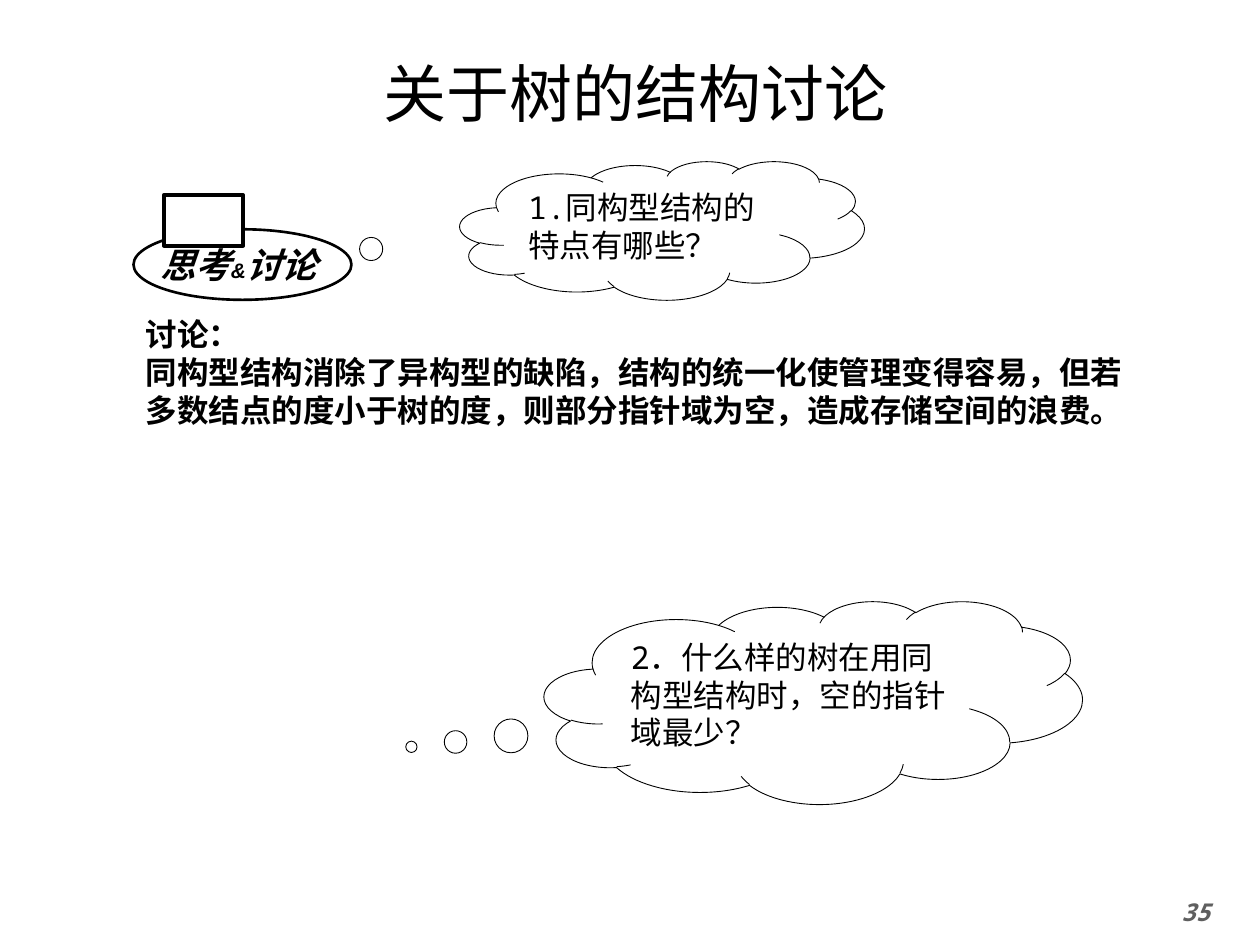
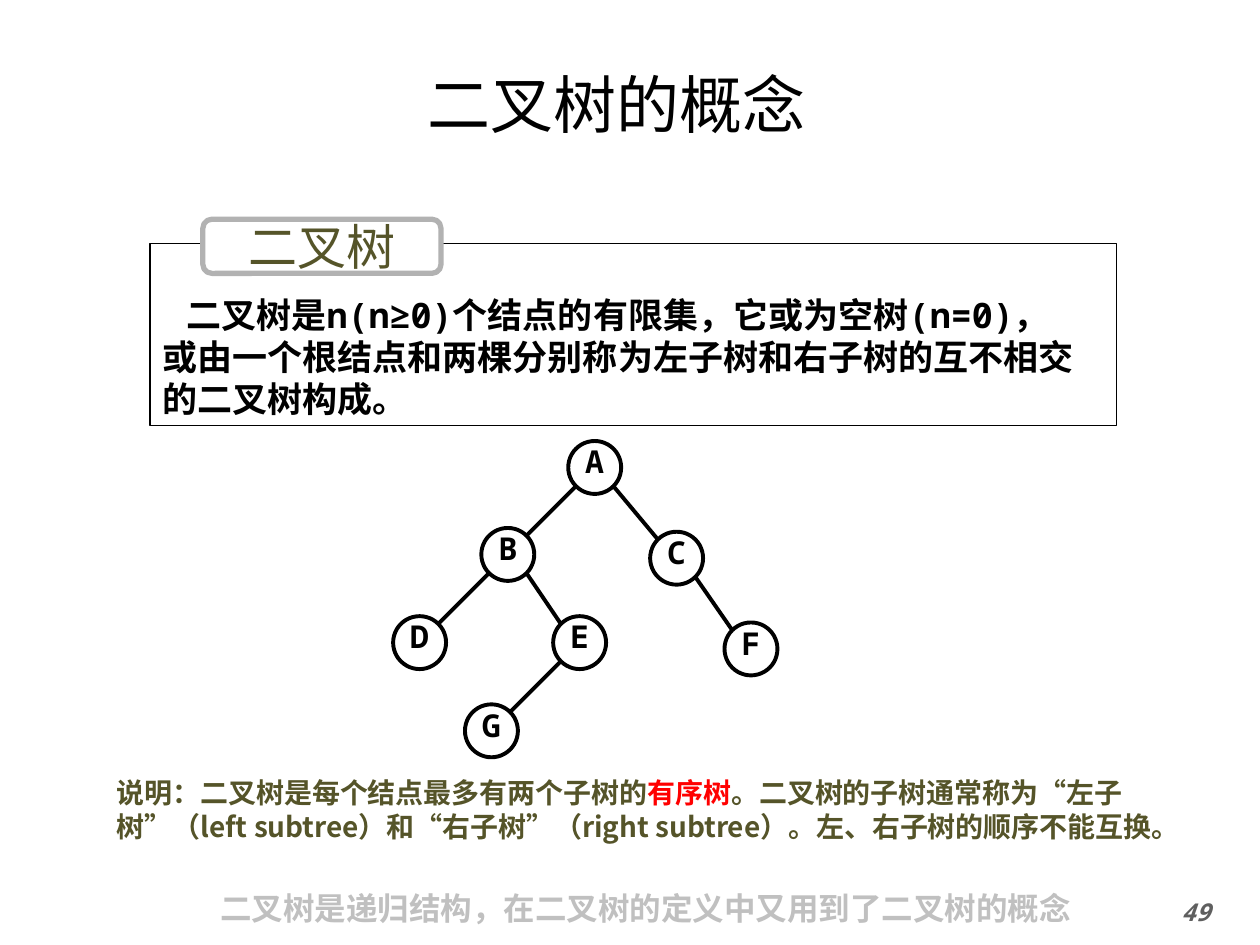
"""Build two slides on tree structures and the concept of a binary tree."""
from dataclasses import dataclass, replace
from math import sqrt
from typing import NamedTuple, Optional

from pptx import Presentation
from pptx.dml.color import RGBColor
from pptx.enum.shapes import MSO_CONNECTOR as Connector, MSO_SHAPE as Shape
from pptx.enum.text import MSO_ANCHOR as Anchor, PP_ALIGN as Align
from pptx.oxml.ns import qn
from pptx.util import Inches, Pt

BLACK = RGBColor(0x00, 0x00, 0x00)
WHITE = RGBColor(0xFF, 0xFF, 0xFF)
RED = RGBColor(0xFF, 0x00, 0x00)
OLIVE = RGBColor(0x55, 0x54, 0x29)
DARK_GRAY = RGBColor(0x5F, 0x5F, 0x5F)
MID_GRAY = RGBColor(0xB2, 0xB2, 0xB2)
LIGHT_GRAY = RGBColor(0xC0, 0xC0, 0xC0)

MONO = "Noto Sans Mono"
CJK = "Noto Sans CJK SC"
NODE_SIZE = 0.42
NODE_LINE = 2.25


@dataclass(frozen=True)
class Style:
    """Character formatting of a run."""
    size: float
    font: str = MONO
    color: RGBColor = BLACK
    bold: bool = False
    italic: bool = False


class Box(NamedTuple):
    """Left, top, width and height in inches."""
    left: float
    top: float
    width: float
    height: float


class Cloud(NamedTuple):
    """A thought cloud with its question and tail offset."""
    box: Box
    tail: tuple[float, float]
    question: str


class Node(NamedTuple):
    """A tree node with its centre and the name of its parent."""
    x: float
    y: float
    parent: Optional[str] = None


TITLE = Style(36)
BODY = Style(18)
BADGE = Style(20, "Arial", bold=True, italic=True)
PAGE = Style(14, color=DARK_GRAY, bold=True, italic=True)
NODE = Style(18, bold=True)
DISCUSSION = Style(18, "DejaVu Sans Mono", bold=True)
DEFINITION = Style(20, bold=True)
LABEL = Style(28, color=OLIVE)
REMARK = Style(16, CJK, OLIVE, bold=True)
SUMMARY = Style(18, color=LIGHT_GRAY, bold=True)

CLOUDS = (
    Cloud(Box(3.65, 1.28, 3.21, 1.1), (-1.194, 0.221),
          "1.同构型结构的特点有哪些？"),
    Cloud(Box(4.32, 4.77, 4.27, 1.61), (-0.747, 0.219),
          "2．什么样的树在用同构型结构时，空的指针域最少？"),
)

NODES = {
    "A": Node(4.72, 3.71),
    "B": Node(4.03, 4.4, "A"),
    "C": Node(5.37, 4.43, "A"),
    "D": Node(3.33, 5.1, "B"),
    "E": Node(4.6, 5.1, "B"),
    "F": Node(5.96, 5.15, "C"),
    "G": Node(3.9, 5.8, "E"),
}


def inches(box: Box) -> list[Inches]:
    """Convert a box to lengths."""
    return [Inches(v) for v in box]


def write(s, paragraphs, align=Align.LEFT, anchor=Anchor.TOP, wrap=True):
    """Fill a shape with paragraphs, each a list of (text, style) pairs."""
    tf = s.text_frame
    tf.word_wrap = wrap
    tf.vertical_anchor = anchor
    for i, runs in enumerate(paragraphs):
        p = tf.paragraphs[0] if i == 0 else tf.add_paragraph()
        p.alignment = align
        for text, style in runs:
            r = p.add_run()
            r.text = text
            r.font.size = Pt(style.size)
            r.font.name = style.font
            r.font.color.rgb = style.color
            r.font.bold = style.bold
            r.font.italic = style.italic
            east_asian = r.font._element.makeelement(qn("a:ea"), {"typeface": CJK})
            r.font._element.find(qn("a:latin")).addnext(east_asian)
    return tf


def add_text(slide, box: Box, paragraphs, **layout):
    """Add a text box."""
    return write(slide.shapes.add_textbox(*inches(box)), paragraphs, **layout)


def add_outline(slide, kind, box: Box, width: float, color=BLACK, fill=WHITE):
    """Add a preset shape with an outline and an optional fill."""
    s = slide.shapes.add_shape(kind, *inches(box))
    s.shadow.inherit = False
    if fill is None:
        s.fill.background()
    else:
        s.fill.solid()
        s.fill.fore_color.rgb = fill
    s.line.color.rgb = color
    s.line.width = Pt(width)
    return s


def add_slide(prs, title: str, box: Box, number: str):
    """Add a blank slide with its title and page number."""
    slide = prs.slides.add_slide(prs.slide_layouts[6])
    tf = add_text(slide, box, [[(title, TITLE)]],
                  align=Align.CENTER, anchor=Anchor.MIDDLE)
    tf.margin_left = tf.margin_right = tf.margin_top = tf.margin_bottom = 0
    add_text(slide, Box(8.98, 7.07, 1.02, 0.43), [[(number, PAGE)]],
             align=Align.CENTER)
    return slide


def add_cloud(slide, cloud: Cloud) -> None:
    """Add a thought cloud."""
    s = add_outline(slide, Shape.CLOUD_CALLOUT, cloud.box, 0.5)
    for i, offset in enumerate(cloud.tail):
        s.adjustments[i] = offset
    write(s, [[(cloud.question, BODY)]])


def add_edge(slide, parent: Node, child: Node) -> None:
    """Join the lower diagonal of a parent to the upper diagonal of a child."""
    reach = NODE_SIZE / 2 / sqrt(2)
    side = reach if child.x > parent.x else -reach
    c = slide.shapes.add_connector(
        Connector.STRAIGHT,
        Inches(parent.x + side), Inches(parent.y + reach),
        Inches(child.x - side), Inches(child.y - reach))
    c.line.color.rgb = BLACK
    c.line.width = Pt(NODE_LINE)
    properties = c._element.spPr
    properties.append(properties.makeelement(qn("a:effectLst"), {}))


def add_tree(slide, nodes: dict[str, Node]) -> None:
    """Draw the nodes and the edges to their parents."""
    half = NODE_SIZE / 2
    for name, node in nodes.items():
        box = Box(node.x - half, node.y - half, NODE_SIZE, NODE_SIZE)
        s = add_outline(slide, Shape.OVAL, box, NODE_LINE)
        write(s, [[(name, NODE)]], align=Align.CENTER,
              anchor=Anchor.BOTTOM, wrap=False)
    for node in nodes.values():
        if node.parent:
            add_edge(slide, nodes[node.parent], node)


def build_discussion(prs) -> None:
    """Build the slide that discusses tree structures."""
    slide = add_slide(prs, "关于树的结构讨论", Box(0.27, 0.38, 9.54, 0.7), "35")
    for cloud in CLOUDS:
        add_cloud(slide, cloud)
    badge = add_outline(slide, Shape.OVAL, Box(1.06, 1.82, 1.73, 0.56), 1.5)
    write(badge, [[("思考", BADGE), ("&", replace(BADGE, size=12)),
                   ("讨论 ", BADGE)]],
          align=Align.CENTER, anchor=Anchor.MIDDLE, wrap=False)
    add_outline(slide, Shape.RECTANGLE, Box(1.3, 1.55, 0.63, 0.4), 2.25)
    add_text(slide, Box(1.06, 2.45, 8.05, 1.01), [
        [("讨论：", DISCUSSION)],
        [("同构型结构消除了异构型的缺陷，结构的统一化使管理变得容易，"
          "但若多数结点的度小于树的度，则部分指针域为空，"
          "造成存储空间的浪费。", DISCUSSION)],
    ])


def build_binary_tree(prs) -> None:
    """Build the slide that defines the binary tree."""
    slide = add_slide(prs, "二叉树的概念", Box(3.19, 0.52, 3.41, 0.6), "49")
    add_text(slide, Box(0.83, 6.11, 8.74, 0.64), [[
        ("说明：二叉树是每个结点最多有两个子树的", REMARK),
        ("有序树", replace(REMARK, color=RED)),
        ("。二叉树的子树通常称为“左子树”（left subtree）和“右子树”"
         "（right subtree）。左、右子树的顺序不能互换。", REMARK),
    ]])
    add_tree(slide, NODES)
    tf = add_text(slide, Box(1.65, 6.95, 7.02, 0.43), [
        [("二叉树是递归结构，在二叉树的定义中又用到了二叉树的概念", SUMMARY)],
    ], wrap=False)
    tf.paragraphs[0].line_spacing = 1.2
    frame = add_outline(slide, Shape.RECTANGLE, Box(1.19, 1.93, 7.67, 1.45),
                        0.75, fill=None)
    tf = write(frame, [
        [("二叉树是n(n≥0)个结点的有限集，它或为空树(n=0)，", DEFINITION)],
        [("或由一个根结点和两棵分别称为左子树和右子树的互不相交的二叉树构成。",
          DEFINITION)],
    ], anchor=Anchor.BOTTOM)
    first = tf.paragraphs[0]._p.get_or_add_pPr()
    first.set("marL", "0")
    first.set("indent", str(Inches(0.19)))
    label = add_outline(slide, Shape.ROUNDED_RECTANGLE,
                        Box(1.61, 1.74, 1.89, 0.43), 3, MID_GRAY)
    write(label, [[("二叉树", LABEL)]], align=Align.CENTER,
          anchor=Anchor.MIDDLE, wrap=False)


def main() -> None:
    """Create and save the presentation."""
    prs = Presentation()
    prs.slide_width = Inches(10)
    prs.slide_height = Inches(7.5)
    build_discussion(prs)
    build_binary_tree(prs)
    prs.save("out.pptx")


if __name__ == "__main__":
    main()
